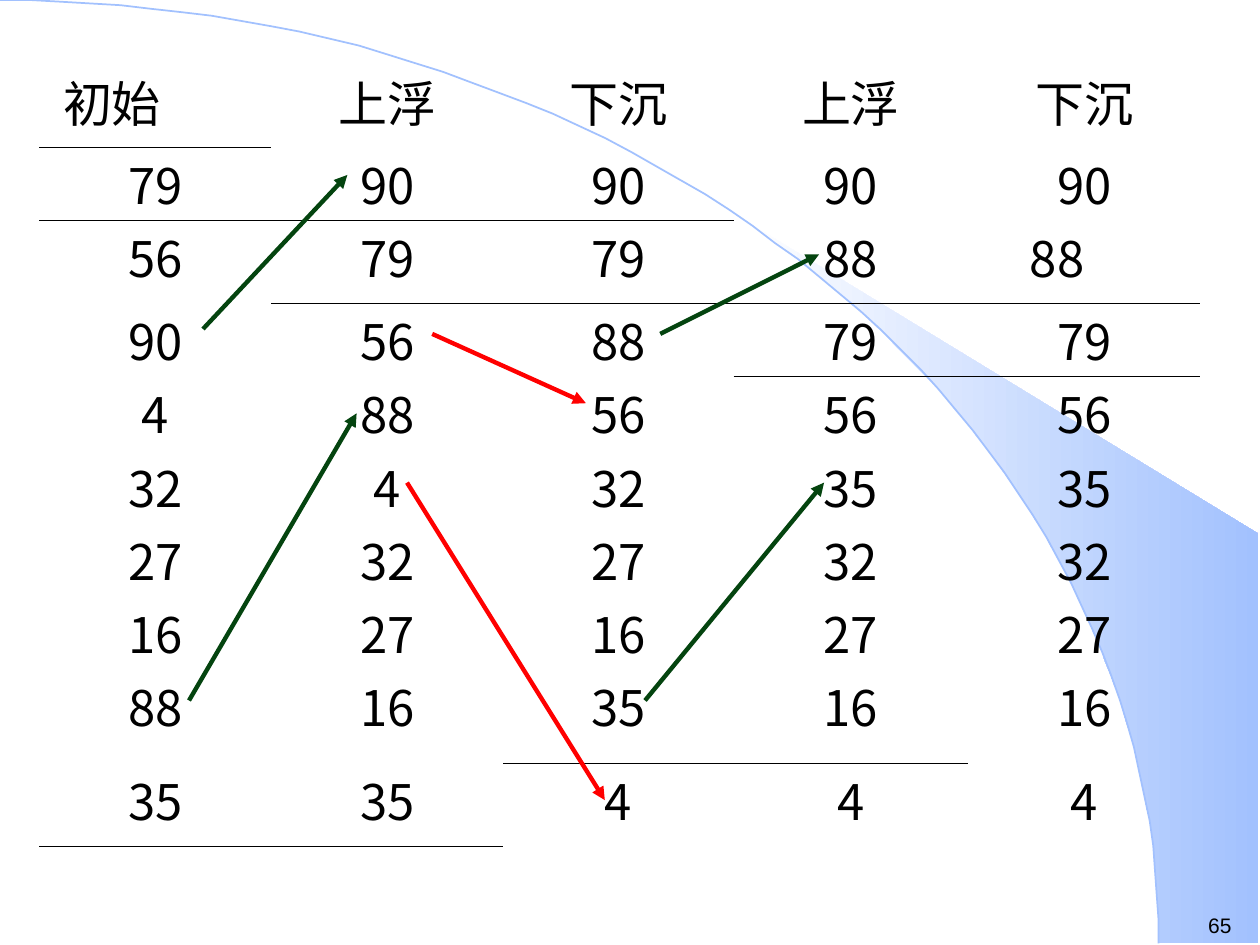
import math
from lxml import etree
from pptx import Presentation, util as u
from pptx.dml.color import RGBColor
from pptx.enum import text
from pptx.enum.shapes import MSO_CONNECTOR
from pptx.oxml.ns import qn

Pt = u.Pt
THEME = dict(ink="000000", rise="04440F", sink="FF0000", sky="A2C1FE", white="FFFFFF",
             cjk="Noto Sans CJK SC", latin="Arial", cell=28, page=12,
             rule=0.45, arrow=2.5, curve=1)

# Content: bubble-up / sink-down passes, one row per table row
ROWS = [
    ["初始", "上浮", "下沉", "上浮", "下沉"],
    ["79", "90", "90", "90", "90"],
    ["56", "79", "79", "88", "88"],
    ["90", "56", "88", "79", "79"],
    ["4", "88", "56", "56", "56"],
    ["32", "4", "32", "35", "35"],
    ["27", "32", "27", "32", "32"],
    ["16", "27", "16", "27", "27"],
    ["88", "16", "35", "16", "16"],
    ["35", "35", "4", "4", "4"],
]
COL_W = [132.5, 132.5, 131.8, 134, 132.5]
ROW_H = [46.8, 41.8, 47.5] + [41.8] * 5 + [54, 47.5]
RULES = [(0, [0]), (1, [1, 2]), (2, [3, 4]), (8, [2, 3]), (9, [0, 1])]  # line below row, columns
INDENTS = {(0, 0): dict(margin_left=Pt(13.5)), (2, 4): dict(margin_right=Pt(38.2))}
ARROWS = [  # colour, from, to
    ("rise", (116, 188), (198.5, 100)),
    ("rise", (108, 400.3), (203.8, 236.2)),
    ("sink", (247, 190.8), (334.8, 230.4)),
    ("sink", (232.6, 275.8), (345.6, 457.2)),
    ("rise", (368.6, 400.3), (470.9, 275.8)),
    ("rise", (377.3, 190.8), (468, 145.4)),
]
PAGE = "65"
ARC_W, ARC_H = 662.4, 539.3
WEDGE_START = 39.8  # degrees along the arc


def rgb(name):
    return RGBColor.from_string(THEME[name])


def put(target, values):
    for name, value in values.items():
        setattr(target, name, value)


def arc(start, steps=60):
    """Points on the quarter ellipse from the start angle to 90 degrees."""
    angles = [math.radians(start + (90 - start) * i / steps) for i in range(steps + 1)]
    return [(ARC_W * math.sin(a), ARC_H * (1 - math.cos(a))) for a in angles]


def outline(s, pts, close):
    fb = s.shapes.build_freeform(*pts[0], scale=u.Pt(1))
    fb.add_line_segments(pts[1:], close=close)
    sp = fb.convert_to_shape()
    sp.shadow.inherit = False
    return sp


def write(tf, words, font, size, align):
    p = tf.paragraphs[0]
    p.alignment = align
    r = p.add_run()
    r.text = words
    put(r.font, dict(name=THEME[font], size=Pt(THEME[size])))
    r.font.color.rgb = rgb("ink")
    etree.SubElement(r.font._element, qn("a:ea"), typeface=THEME[font])
    return p


def border(cell, side):
    ln = etree.SubElement(cell._tc.get_or_add_tcPr(), qn("a:" + side), w=str(int(Pt(THEME["rule"]))))
    fill = etree.SubElement(ln, qn("a:solidFill"))
    etree.SubElement(fill, qn("a:srgbClr"), val=THEME["ink"])


prs = Presentation()
put(prs, dict(slide_width=Pt(720), slide_height=Pt(540)))
s = prs.slides.add_slide(prs.slide_layouts[6])

# Background wedge and curve
sp = outline(s, arc(WEDGE_START) + [(719.3, ARC_H), (719.3, 304.6)], True)
sp.line.fill.background()
sp.fill.gradient()
sp.fill.gradient_angle = 0
for stop, color in zip(sp.fill.gradient_stops, ("white", "sky")):
    stop.color.rgb = rgb(color)
sp = outline(s, arc(0), False)
sp.fill.background()
sp.line.color.rgb = rgb("sky")
sp.line.width = Pt(THEME["curve"])

# Page number
tf = s.shapes.add_textbox(Pt(683.3), Pt(517.7), Pt(36.7), Pt(21.6)).text_frame
tf.word_wrap = True
write(tf, PAGE, "latin", "page", text.PP_ALIGN.LEFT)

# Table
gf = s.shapes.add_table(len(ROWS), len(COL_W), Pt(22.5), Pt(37.4), Pt(sum(COL_W)), Pt(sum(ROW_H)))
tbl = gf.table
put(tbl, dict(first_row=False, horz_banding=False))
tbl._tbl.tblPr.find(qn("a:tableStyleId")).text = "{2D5ABB26-0587-4C30-8999-92F81FD0307C}"
for col, w in zip(tbl.columns, COL_W):
    col.width = Pt(w)
for row, h in zip(tbl.rows, ROW_H):
    row.height = Pt(h)
for i, cols in RULES:
    for j in cols:
        border(tbl.cell(i, j), "lnB")
        if i + 1 < len(ROWS):
            border(tbl.cell(i + 1, j), "lnT")
for i, words in enumerate(ROWS):
    for j, word in enumerate(words):
        cell = tbl.cell(i, j)
        cell.fill.background()
        put(cell, INDENTS.get((i, j), {}))
        align = text.PP_ALIGN.LEFT if (i, j) == (0, 0) else text.PP_ALIGN.CENTER
        write(cell.text_frame, word, "cjk", "cell", align).line_spacing = 0.9

# Arrows
for color, start, end in ARROWS:
    cx = s.shapes.add_connector(MSO_CONNECTOR.STRAIGHT, *map(Pt, start + end))
    cx.line.color.rgb = rgb(color)
    cx.line.width = Pt(THEME["arrow"])
    etree.SubElement(cx.line._get_or_add_ln(), qn("a:tailEnd"), type="triangle")
    etree.SubElement(cx._element.spPr, qn("a:effectLst"))

prs.save("out.pptx")
